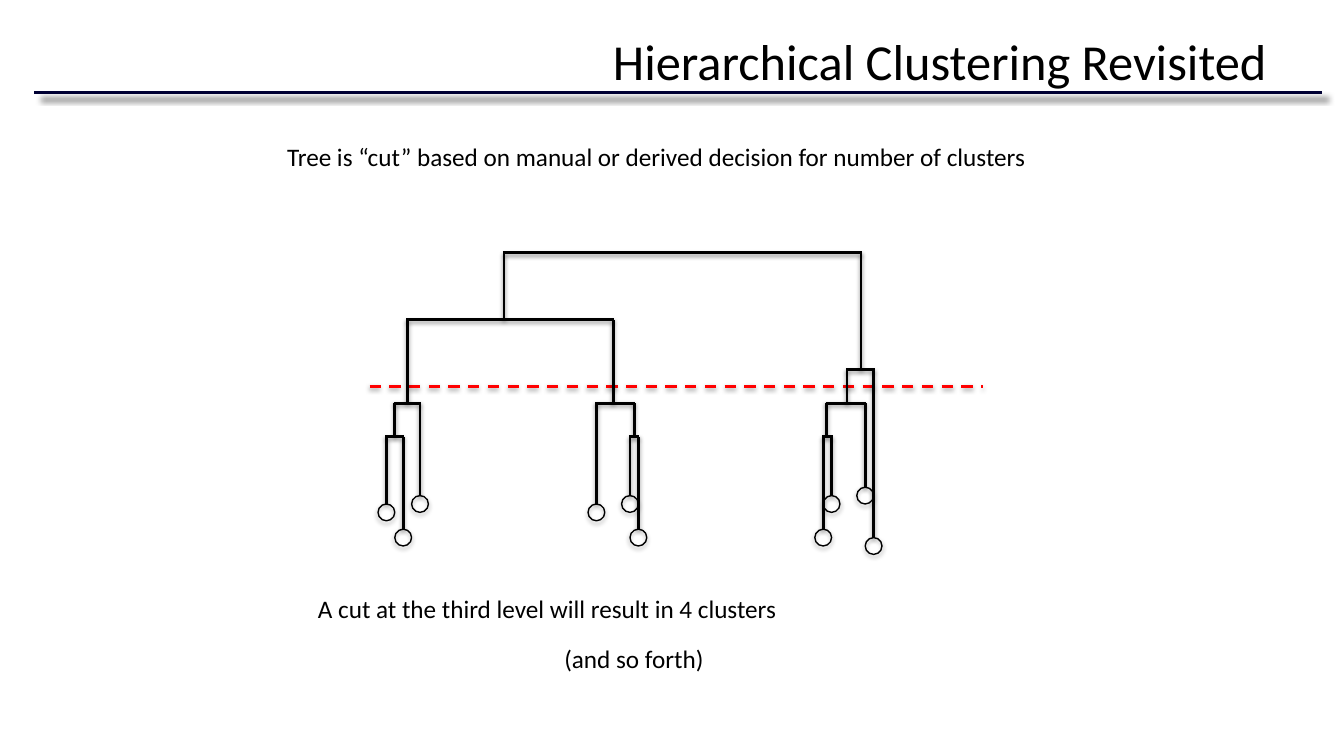
from collections import namedtuple

from lxml import etree
from pptx import Presentation, util as u
from pptx.dml.color import RGBColor
from pptx.enum import dml, shapes, text
from pptx.oxml import ns

BLACK = RGBColor(0, 0, 0)
NAVY = RGBColor(0x00, 0x00, 0x33)
RED = RGBColor(0xFF, 0, 0)

Box = namedtuple("Box", "left top width height")
Shadow = namedtuple("Shadow", "opacity blur distance angle")
Node = namedtuple("Node", "x y children", defaults=((),))

RULE_SHADOW = Shadow(50, 4, 6, 45)
LINE_SHADOW = Shadow(38, 3.1, 1.6, 90)
LEAF_SHADOW = Shadow(35, 3.1, 1.8, 90)
LEAF_SIZE = 12
BAR_OVERHANG = 0.75

LEFT_CLUSTER = Node(27, 108, (
    Node(18, 132, (Node(12, 180), Node(24, 198))),
    Node(36, 174),
))
MIDDLE_CLUSTER = Node(174, 108, (
    Node(162, 180),
    Node(189, 132, (Node(186, 174), Node(192, 198))),
))
RIGHT_CLUSTER = Node(341, 108, (
    Node(326.5, 132, (Node(324, 198), Node(330, 174))),
    Node(354, 168),
))
TREE = Node(216, 0.5, (
    Node(96, 48.5, (LEFT_CLUSTER, MIDDLE_CLUSTER)),
    Node(351, 84, (RIGHT_CLUSTER, Node(360, 204))),
))
CUT_HEIGHT = 96


def add_shadow(shape, shadow):
    """Give a shape or connector a soft black outer shadow."""
    effects = etree.SubElement(shape._element.spPr, ns.qn("a:effectLst"))
    outer = etree.SubElement(
        effects, ns.qn("a:outerShdw"),
        blurRad=str(int(u.Pt(shadow.blur))),
        dist=str(int(u.Pt(shadow.distance))),
        dir=str(shadow.angle * 60000), algn="ctr", rotWithShape="0")
    color = etree.SubElement(outer, ns.qn("a:srgbClr"), val=str(BLACK))
    etree.SubElement(color, ns.qn("a:alpha"), val=str(shadow.opacity * 1000))


def add_line(slide, start, end, color=BLACK, shadow=LINE_SHADOW, dash=None):
    """Draw a straight line between two points."""
    line = slide.shapes.add_connector(
        shapes.MSO_CONNECTOR.STRAIGHT, *map(u.Pt, (*start, *end)))
    line.line.color.rgb = color
    line.line.width = u.Pt(2)
    if dash:
        line.line.dash_style = dash
    add_shadow(line, shadow)


def add_text(slide, box, wording, size=18, alignment=text.PP_ALIGN.LEFT):
    """Write one paragraph into a box."""
    frame = slide.shapes.add_textbox(*map(u.Pt, box)).text_frame
    frame.word_wrap = True
    paragraph = frame.paragraphs[0]
    paragraph.text = wording
    paragraph.alignment = alignment
    font = paragraph.runs[0].font
    for name, value in {"name": "Calibri", "size": u.Pt(size)}.items():
        setattr(font, name, value)
    font.color.rgb = BLACK


def add_header(slide, box):
    """Draw the right-aligned title and the rule under it."""
    rule_top = box.top + 66
    add_line(slide, (box.left, rule_top), (box.left + box.width, rule_top),
             NAVY, RULE_SHADOW)
    title_box = Box(box.left + 23.5, box.top + 18, 864, 90)
    add_text(slide, title_box, "Hierarchical Clustering Revisited", 36,
             text.PP_ALIGN.RIGHT)


def add_leaf(slide, x, y):
    """Draw a leaf circle hanging from a point."""
    leaf = slide.shapes.add_shape(
        shapes.MSO_SHAPE.OVAL,
        *map(u.Pt, (x - LEAF_SIZE / 2, y, LEAF_SIZE, LEAF_SIZE)))
    leaf.fill.background()
    leaf.line.color.rgb = BLACK
    leaf.line.width = u.Pt(1)
    add_shadow(leaf, LEAF_SHADOW)


def add_branch(slide, box, node):
    """Draw a node and, recursively, everything below it."""
    x, y = box.left + node.x, box.top + node.y
    if not node.children:
        add_leaf(slide, x, y)
        return
    for child in node.children:
        add_branch(slide, box, child)
        child_x = box.left + child.x
        add_line(slide, (child_x, y), (child_x, box.top + child.y))
    first, last = (box.left + child.x for child in node.children)
    add_line(slide, (first - BAR_OVERHANG, y), (last + BAR_OVERHANG, y))


def add_dendrogram(slide, box):
    """Draw the cluster tree with the dashed cut across it."""
    cut = box.top + CUT_HEIGHT
    add_line(slide, (box.left, cut), (box.left + box.width, cut), RED,
             dash=dml.MSO_LINE.DASH)
    add_branch(slide, box, TREE)


def add_captions(slide, box):
    """Write the explanations above and below the tree."""
    for left, top, width, wording in (
        (0, 0, 550, "Tree is “cut” based on manual or derived decision "
                    "for number of clusters"),
        (22, 322.5, 350, "A cut at the third level will result in 4 clusters"),
        (198, 358.5, 120, "(and so forth)"),
    ):
        add_text(slide, Box(box.left + left, box.top + top, width, 29), wording)


def main():
    """Build the slide and save it."""
    presentation = Presentation()
    presentation.slide_width = u.Pt(960)
    presentation.slide_height = u.Pt(540)
    slide = presentation.slides.add_slide(presentation.slide_layouts[6])
    add_header(slide, Box(24.5, 0, 919.5, 108))
    add_dendrogram(slide, Box(264, 180, 438, 216))
    add_captions(slide, Box(198, 97.5, 550, 388))
    presentation.save("out.pptx")


if __name__ == "__main__":
    main()
